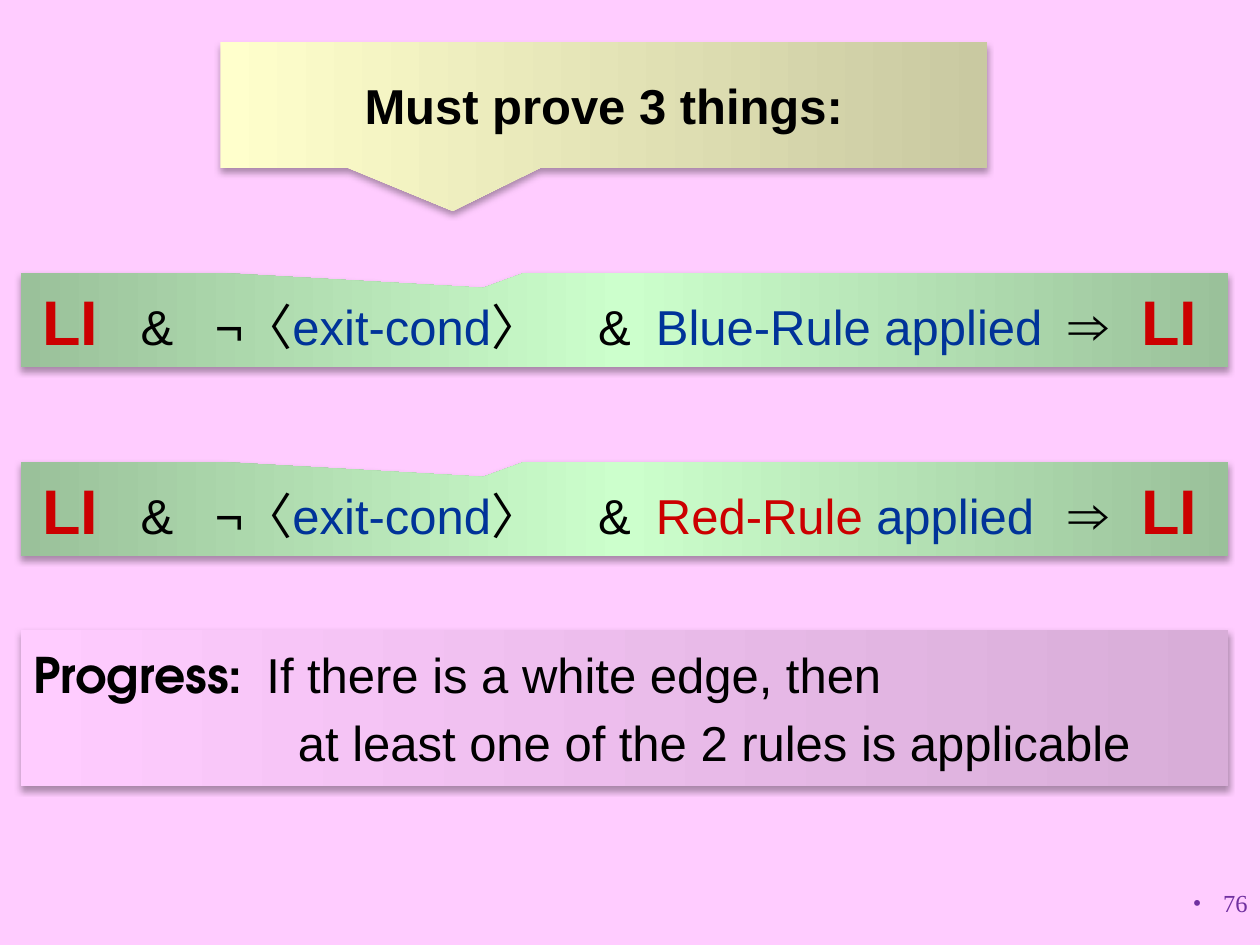
"""Build the slide listing the three things to prove about the loop invariant."""
from lxml import etree
from pptx import Presentation, util as u
from pptx.dml.color import RGBColor
from pptx.enum import shapes, text
from pptx.oxml.ns import qn

BLACK = RGBColor(0x00, 0x00, 0x00)
RED = RGBColor(0xCC, 0x00, 0x00)
BLUE = RGBColor(0x00, 0x33, 0x99)
PURPLE = RGBColor(0x70, 0x30, 0xA0)
PINK = RGBColor(0xFF, 0xCC, 0xFF)
MAUVE = RGBColor(0xD8, 0xAD, 0xD8)
MINT = RGBColor(0xCC, 0xFF, 0xCC)
SAGE = RGBColor(0x9A, 0xC1, 0x9A)
CREAM = RGBColor(0xFF, 0xFF, 0xCC)
KHAKI = RGBColor(0xC9, 0xC9, 0xA1)

CALL = shapes.MSO_SHAPE.RECTANGULAR_CALLOUT
RECT = shapes.MSO_SHAPE.RECTANGLE
MID = text.MSO_ANCHOR.MIDDLE
TOP = text.MSO_ANCHOR.TOP

deck = Presentation()
deck.slide_width, deck.slide_height = u.Inches(10), u.Inches(7.5)
cell = deck.slide_width // 120
slide = deck.slides.add_slide(deck.slide_layouts[6])
slide.background.fill.solid()
slide.background.fill.fore_color.rgb = PINK


def panel(kind, grid, tones, tip=(), **frame):
    shape = slide.shapes.add_shape(kind, *[round(n * cell) for n in grid])
    for i, val in enumerate(tip):
        shape.adjustments[i] = val
    props = shape._element.spPr
    grad = etree.SubElement(props, qn("a:gradFill"), rotWithShape="1")
    stops = etree.SubElement(grad, qn("a:gsLst"))
    for i, tone in enumerate(tones):
        stop = etree.SubElement(stops, qn("a:gs"), pos=str(100000 * i // (len(tones) - 1)))
        etree.SubElement(stop, qn("a:srgbClr"), val=str(tone))
    etree.SubElement(grad, qn("a:lin"), ang="0", scaled="0")
    shape.line.fill.background()
    shape.shadow.inherit = False
    shade = etree.SubElement(props.find(qn("a:effectLst")), qn("a:outerShdw"),
                             blurRad=str(u.Pt(3.5)), dist=str(u.Pt(2.2)),
                             dir="5400000", rotWithShape="0")
    tint = etree.SubElement(shade, qn("a:srgbClr"), val=str(BLACK))
    etree.SubElement(tint, qn("a:alpha"), val="32000")
    for name, val in frame.items():
        setattr(shape.text_frame, name, val)
    shape.text_frame.word_wrap = True
    return shape.text_frame.paragraphs[0]


def write(para, parts, tabs=(), align=text.PP_ALIGN.LEFT):
    para.alignment = align
    if tabs:
        marks = etree.SubElement(para._p.get_or_add_pPr(), qn("a:tabLst"))
        for tab in tabs:
            etree.SubElement(marks, qn("a:tab"), pos=str(u.Inches(tab)), algn="l")
    for words, size, tone, bold, face in parts:
        for i, line in enumerate(words.split("\n")):
            if i:
                para.add_line_break()
            run = para.add_run()
            run.text = line
            run.font.color.rgb = tone
            form = {"size": u.Pt(size), "bold": bold, "name": face}
            for name, val in form.items():
                setattr(run.font, name, val)


rules = [
    (44, [("Red-Rule", RED), (" applied", BLUE)]),
    (26, [("Blue-Rule applied", BLUE)]),
]
for row, rule in rules:
    para = panel(CALL, (2, row, 115, 9), (SAGE, MINT, SAGE), (-0.117, -0.343),
                 vertical_anchor=MID, margin_left=u.Inches(0.17))
    mid = [("\t&\t¬〈", BLACK), ("exit-cond", BLUE), ("〉\t&\t", BLACK), *rule]
    write(para, [
        ("LI", 36, RED, True, "Arial"),
        *[(words, 28, tone, False, "Arial") for words, tone in mid],
        ("\t⇒\t", 32, BLACK, False, "Arial"),
        ("LI", 36, RED, True, "Arial"),
    ], tabs=(0.78, 1.37, 4.41, 4.87, 8.14, 8.72))

para = panel(RECT, (2, 60, 115, 14.9), (PINK, MAUVE),
             vertical_anchor=TOP, margin_bottom=u.Inches(0.09))
write(para, [
    ("Progress:", 28, BLACK, True, "TeX Gyre Adventor"),
    ("\tIf there is a white edge, then\n\t\tat least one of the 2 rules is applicable",
     28, BLACK, False, "Arial"),
], tabs=(1.85, 2.1))
para.line_spacing = 1.15

para = panel(CALL, (21, 4, 73, 12), (CREAM, KHAKI), (-0.197, 0.841), vertical_anchor=MID)
write(para, [("Must prove 3 things:", 28, BLACK, True, "Arial")], align=text.PP_ALIGN.CENTER)

page = slide.shapes.add_textbox(*[n * cell for n in (95, 84, 25, 6)])
page.text_frame.word_wrap = True
para = page.text_frame.paragraphs[0]
props = para._p.get_or_add_pPr()
props.set("marL", str(u.Inches(0.24)))
props.set("indent", str(-u.Inches(0.24)))
etree.SubElement(props, qn("a:buFont"), typeface="Times New Roman")
etree.SubElement(props, qn("a:buChar"), char="•")
write(para, [("76", 14, PURPLE, False, "Times New Roman")], align=text.PP_ALIGN.RIGHT)

deck.save("out.pptx")
